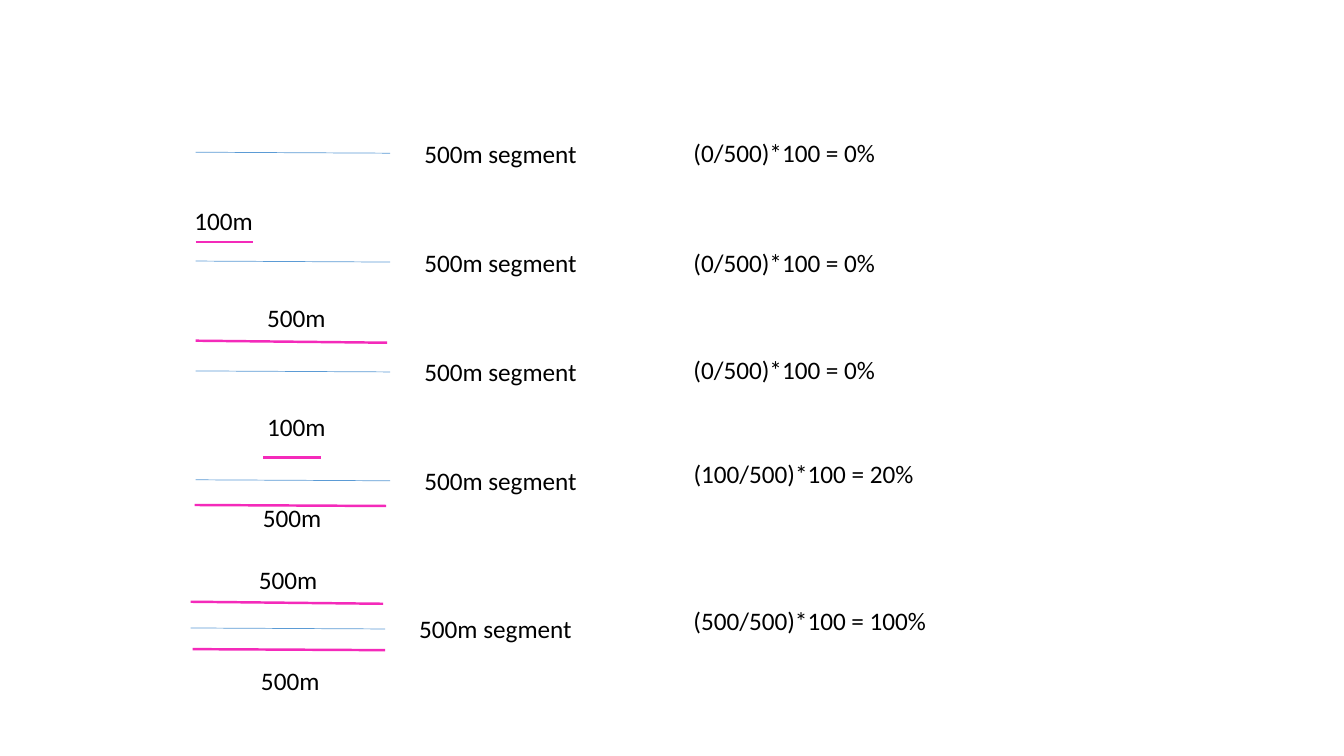
"""Build a slide comparing line overlap along 500m segments."""
from lxml import etree
from pptx import Presentation
from pptx.dml.color import RGBColor
from pptx.enum import shapes, text
from pptx.oxml import ns
from pptx.util import Inches, Pt

BLUE, PINK, BLACK = "5B9BD5", "F42ABA", "000000"
TEXT_HEIGHT = 0.4
SEGMENT_LENGTH, SEGMENT_DROP = 1.93, 0.01
LABEL_OFFSET, LABEL_RISE = 2.17, 0.19
RESULT_LEFT = 6.78

# segment left, segment top, result top, result width, result
ROWS = [
    (1.94, 1.51, 1.31, 2.03, "(0/500)*100 = 0%"),
    (1.94, 2.59, 2.40, 2.03, "(0/500)*100 = 0%"),
    (1.94, 3.68, 3.47, 2.03, "(0/500)*100 = 0%"),
    (1.94, 4.76, 4.50, 2.41, "(100/500)*100 = 20%"),
    (1.89, 6.23, 5.96, 2.54, "(500/500)*100 = 100%"),
]

# line left, line top, length, drop, label left, label top, label
OVERLAPS = [
    (1.94, 2.40, 0.57, 0, 1.83, 1.99, "100m"),
    (2.61, 4.54, 0.57, 0, 2.55, 4.03, "100m"),
    (1.94, 3.38, 1.90, 0.02, 2.55, 2.95, "500m"),
    (1.93, 5.01, 1.90, 0.01, 2.51, 4.93, "500m"),
    (1.89, 5.97, 1.91, 0.02, 2.47, 5.55, "500m"),
    (1.91, 6.44, 1.91, 0.01, 2.49, 6.55, "500m"),
]


def color(value):
    return RGBColor.from_string(value)


def add_text(container, content, left, top, width, size=18, fill=BLACK):
    box = container.add_textbox(Inches(left), Inches(top), Inches(width), Inches(TEXT_HEIGHT))
    frame = box.text_frame
    frame.word_wrap = False
    frame.auto_size = text.MSO_AUTO_SIZE.SHAPE_TO_FIT_TEXT
    run = frame.paragraphs[0].add_run()
    run.text = content
    run.font.name = "Calibri"
    run.font.size = Pt(size)
    run.font.color.rgb = color(fill)


def add_line(container, left, top, length, drop, stroke, weight):
    line = container.add_connector(
        shapes.MSO_CONNECTOR.STRAIGHT,
        Inches(left), Inches(top), Inches(left + length), Inches(top + drop),
    )
    line.line.color.rgb = color(stroke)
    line.line.width = Pt(weight)
    etree.SubElement(line._element.spPr, ns.qn("a:effectLst"))


def main():
    presentation = Presentation()
    presentation.slide_width = Inches(13.33)
    presentation.slide_height = Inches(7.5)
    slide = presentation.slides.add_slide(presentation.slide_layouts[6])

    for left, top, result_top, result_width, result in ROWS:
        segment = slide.shapes.add_group_shape().shapes
        add_line(segment, left, top, SEGMENT_LENGTH, SEGMENT_DROP, BLUE, 0.5)
        add_text(segment, "500m segment", left + LABEL_OFFSET, top - LABEL_RISE, 1.73)
        add_text(slide.shapes, result, RESULT_LEFT, result_top, result_width)

    for left, top, length, drop, label_left, label_top, label in OVERLAPS:
        add_line(slide.shapes, left, top, length, drop, PINK, 1.75)
        add_text(slide.shapes, label, label_left, label_top, 0.79)

    presentation.save("out.pptx")


if __name__ == "__main__":
    main()
